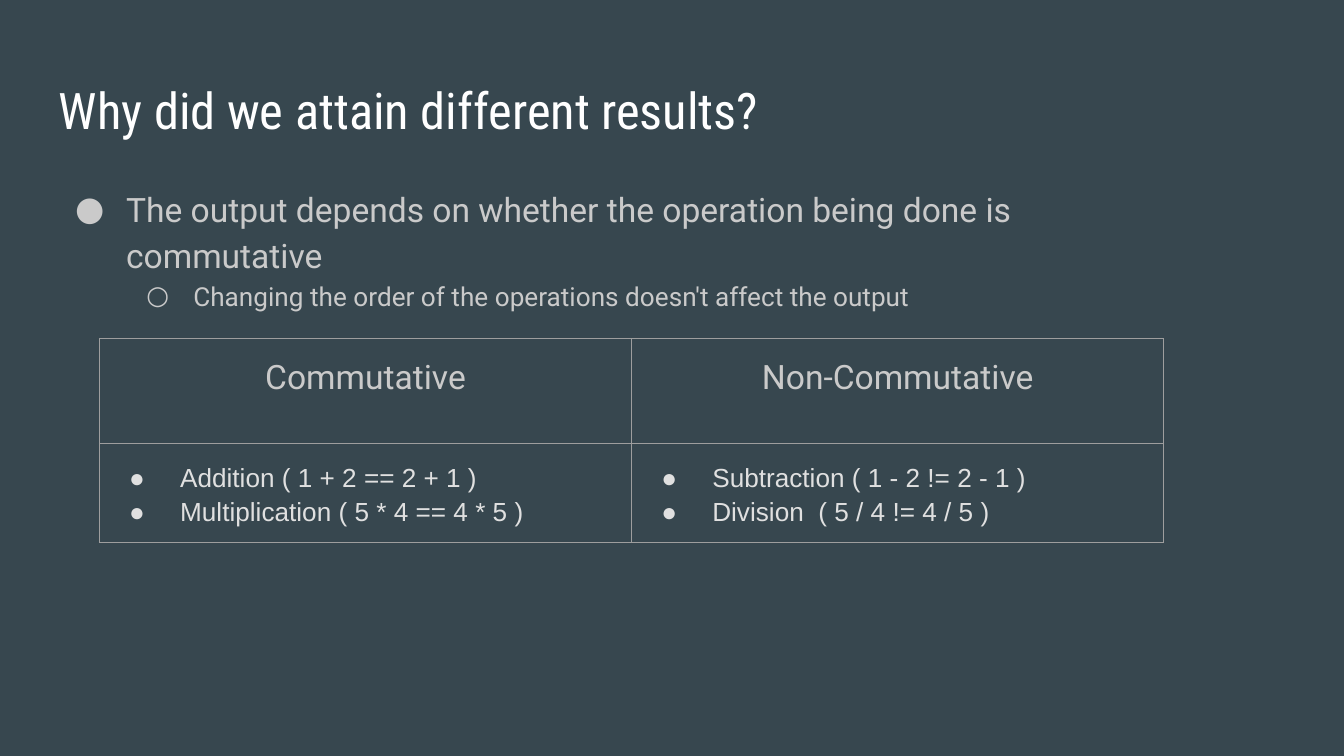
from lxml import etree
from pptx import Presentation
from pptx import util as u
from pptx.dml.color import RGBColor
from pptx.enum import text
from pptx.oxml.ns import qn

COLORS = {
    "background": "37474F",
    "title": "FFFFFF",
    "body": "CACACA",
    "example": "E0E0E0",
    "border": "9E9E9E",
}
HEADINGS = ["Commutative", "Non-Commutative"]
EXAMPLES = [
    ["Addition ( 1 + 2 == 2 + 1 )", "Multiplication ( 5 * 4 == 4 * 5 )"],
    ["Subtraction ( 1 - 2 != 2 - 1 )", "Division  ( 5 / 4 != 4 / 5 )"],
]
ROW_HEIGHTS = [0.78, 0.73]


def add_color(parent, color):
    fill = etree.SubElement(parent, qn("a:solidFill"))
    etree.SubElement(fill, qn("a:srgbClr"), val=COLORS[color])


def add_bullet(paragraph, symbol, color, font, indent, hanging):
    props = paragraph._p.get_or_add_pPr()
    props.set("marL", str(u.Inches(indent)))
    props.set("indent", str(u.Inches(-hanging)))
    bullet_color = etree.SubElement(props, qn("a:buClr"))
    etree.SubElement(bullet_color, qn("a:srgbClr"), val=COLORS[color])
    etree.SubElement(props, qn("a:buFont"), typeface=font)
    etree.SubElement(props, qn("a:buChar"), char=symbol)


def write(frame, words, size, color, font="Roboto", spacing=None, after=None,
          align=None, level=0, bullet=None, indent=0.5, hanging=0.38):
    paragraph = frame.paragraphs[0]
    if paragraph.runs:
        paragraph = frame.add_paragraph()
    paragraph.level = level
    paragraph.alignment = align
    paragraph.line_spacing = spacing
    paragraph.space_after = after
    if bullet:
        add_bullet(paragraph, bullet, color, font, indent, hanging)
    run = paragraph.add_run()
    run.text = words
    run.font.name = font
    run.font.size = u.Pt(size)
    run.font.color.rgb = RGBColor.from_string(COLORS[color])


def add_text_area(slide, left, top, width, height):
    area = slide.shapes.add_textbox(*map(u.Inches, (left, top, width, height)))
    frame = area.text_frame
    frame.word_wrap = True
    frame.margin_left = frame.margin_right = u.Inches(0.1)
    frame.margin_top = frame.margin_bottom = u.Inches(0.1)
    return frame


def format_cell(cell):
    cell.margin_left = cell.margin_right = u.Inches(0.1)
    cell.margin_top = cell.margin_bottom = u.Inches(0.1)
    props = cell._tc.get_or_add_tcPr()
    for side in ("lnL", "lnR", "lnT", "lnB"):
        border = etree.SubElement(props, qn(f"a:{side}"), w=str(u.Pt(0.75)))
        add_color(border, "border")
    cell.fill.background()


def add_comparison(slide):
    comparison = slide.shapes.add_table(
        2, 2, u.Inches(0.74), u.Inches(2.52),
        u.Inches(7.92), u.Inches(sum(ROW_HEIGHTS))).table
    comparison.first_row = comparison.horz_banding = False
    for row, height in zip(comparison.rows, ROW_HEIGHTS):
        row.height = u.Inches(height)
    for column, (heading, examples) in enumerate(zip(HEADINGS, EXAMPLES)):
        heading_cell = comparison.cell(0, column)
        example_cell = comparison.cell(1, column)
        format_cell(heading_cell)
        format_cell(example_cell)
        example_cell.vertical_anchor = text.MSO_ANCHOR.MIDDLE
        write(heading_cell.text_frame, heading, 18, "body", spacing=1.15,
              after=u.Pt(12), align=text.PP_ALIGN.CENTER)
        for example in examples:
            write(example_cell.text_frame, example, 14, "example",
                  font="Arial", spacing=1.15, bullet="●")


def main():
    deck = Presentation()
    deck.slide_width = u.Inches(10)
    deck.slide_height = deck.slide_width * 9 // 16
    slide = deck.slides.add_slide(deck.slide_layouts[6])
    backdrop = slide.background.fill
    backdrop.solid()
    backdrop.fore_color.rgb = RGBColor.from_string(COLORS["background"])

    title = add_text_area(slide, 0.34, 0.49, 9.32, 0.63)
    write(title, "Why did we attain different results?", 27, "title",
          font="Roboto Condensed")

    explanation = add_text_area(slide, 0.34, 1.26, 8.63, 1.81)
    write(explanation,
          "The output depends on whether the operation being done is commutative",
          18, "body", spacing=1.15, bullet="●")
    write(explanation,
          "Changing the order of the operations doesn't affect the output",
          14, "body", spacing=1.15, level=1, bullet="○", indent=1, hanging=0.35)

    add_comparison(slide)
    deck.save("out.pptx")


if __name__ == "__main__":
    main()
